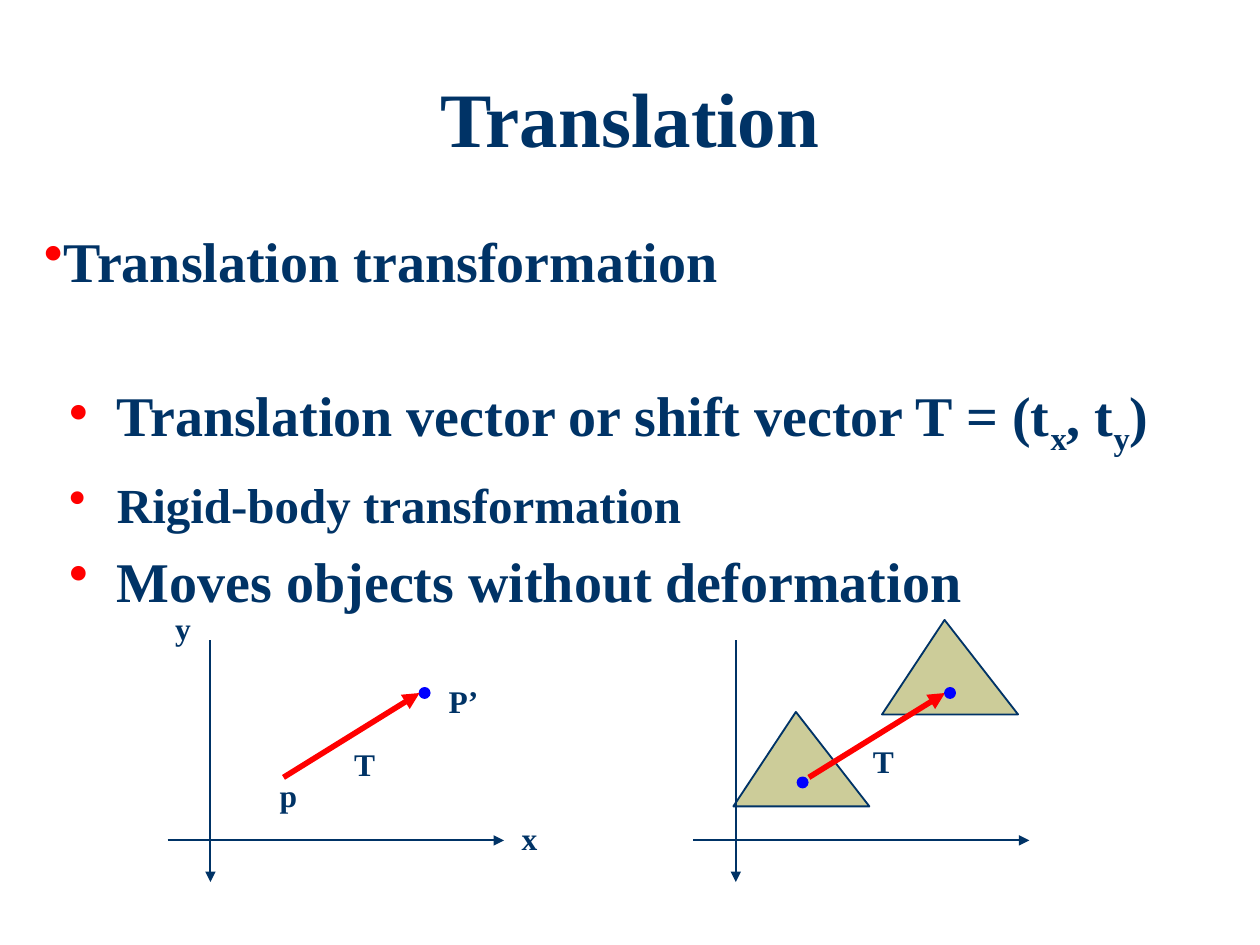
from lxml.etree import SubElement
from pptx import Presentation
from pptx.dml.color import RGBColor
from pptx.enum.shapes import MSO_CONNECTOR as Connector, MSO_SHAPE as Shape
from pptx.enum.text import MSO_ANCHOR as Anchor, PP_ALIGN as Align
from pptx.oxml.ns import qn
from pptx.util import Inches, Pt

NAVY, RED, BLUE, SAND = "003366", "FF0000", "0000FF", "CCCC99"
SUBSCRIPT = "-25000"

# Text, size, left margin, hanging indent, space before
BULLETS = [
    ([("Translation transformation", False)], 32, 0.15, 0.15, 0),
    ([("Translation vector or shift vector T = (t", False), ("x", True),
      (", t", False), ("y", True), (")", False)], 32, 0.58, 0.38, 49.6),
    ([("Rigid-body transformation", False)], 28, 0.58, 0.38, 10),
    ([("Moves objects without deformation", False)], 32, 0.58, 0.38, 7.2),
]


def color(value):
    return RGBColor.from_string(value)


def set_font(font, size):
    for name, value in {"name": "Times New Roman", "size": Pt(size), "bold": True}.items():
        setattr(font, name, value)
    font.color.rgb = color(NAVY)


def add_text_frame(slide, left, top, width, height, **settings):
    box = slide.shapes.add_textbox(Inches(left), Inches(top), Inches(width), Inches(height))
    frame = box.text_frame
    for name, value in {"word_wrap": True, **settings}.items():
        setattr(frame, name, value)
    return frame


def add_title(slide, left, top, width, height):
    frame = add_text_frame(slide, left, top, width, height, vertical_anchor=Anchor.MIDDLE)
    paragraph = frame.paragraphs[0]
    paragraph.text = "Translation"
    paragraph.alignment = Align.CENTER
    set_font(paragraph.font, 44)


def set_bullet(paragraph, margin, hanging):
    properties = paragraph._p.get_or_add_pPr()
    properties.set("marL", str(Inches(margin)))
    properties.set("indent", str(-Inches(hanging)))
    bullet_color = SubElement(properties, qn("a:buClr"))
    SubElement(bullet_color, qn("a:srgbClr"), val=RED)
    SubElement(properties, qn("a:buChar"), char="•")


def add_bullets(slide, left, top, width, height):
    frame = add_text_frame(slide, left, top, width, height)
    for index, (runs, size, margin, hanging, space) in enumerate(BULLETS):
        paragraph = frame.add_paragraph() if index else frame.paragraphs[0]
        set_bullet(paragraph, margin, hanging)
        paragraph.space_before = Pt(space)
        set_font(paragraph.font, size)
        for text, is_subscript in runs:
            run = paragraph.add_run()
            run.text = text
            set_font(run.font, size)
            if is_subscript:
                run.font._element.set("baseline", SUBSCRIPT)


def add_label(slide, text, left, top, width=0.42, inset=(0.14, 0.08)):
    side, edge = (Inches(value) for value in inset)
    frame = add_text_frame(slide, left, top, width, 0.5, margin_left=side,
                           margin_right=side, margin_top=edge, margin_bottom=edge)
    frame.paragraphs[0].text = text
    set_font(frame.paragraphs[0].font, 18)


def add_arrow(slide, start, end, line_color=NAVY, width=1.06):
    points = [Inches(value) for value in (*start, *end)]
    arrow = slide.shapes.add_connector(Connector.STRAIGHT, *points)
    arrow.line.color.rgb = color(line_color)
    arrow.line.width = Pt(width)
    SubElement(arrow.line._get_or_add_ln(), qn("a:tailEnd"), type="triangle")
    SubElement(arrow._element.spPr, qn("a:effectLst"))


def add_filled_shape(slide, kind, left, top, width, height, fill, outline):
    shape = slide.shapes.add_shape(kind, Inches(left), Inches(top), Inches(width), Inches(height))
    shape.shadow.inherit = False
    shape.fill.solid()
    shape.fill.fore_color.rgb = color(fill)
    shape.line.color.rgb = color(outline)
    shape.line.width = Pt(1.06)
    return shape


def add_point(slide, left, top):
    add_filled_shape(slide, Shape.OVAL, left, top, 0.08, 0.08, BLUE, BLUE)


def add_triangle(slide, left, top):
    triangle = add_filled_shape(slide, Shape.ISOSCELES_TRIANGLE, left, top, 1.08, 0.75, SAND, NAVY)
    triangle.adjustments[0] = 0.46


def add_axes(slide, left, top):
    add_arrow(slide, (left + 0.08, top + 1.92), (left + 2.75, top + 1.92))
    add_arrow(slide, (left + 0.42, top + 0.33), (left + 0.42, top + 2.25))


def add_vector(slide, left, top):
    add_arrow(slide, (left + 1, top + 1.42), (left + 2.08, top + 0.75), RED, 3.2)


def add_point_diagram(slide, left, top):
    add_axes(slide, left, top)
    add_point(slide, left + 2.08, top + 0.71)
    add_vector(slide, left, top)
    for text, x, y, width in [("x", 2.75, 1.67, 0.42), ("y", 0, 0, 0.42), ("p", 0.83, 1.33, 0.42),
                              ("P’", 2.17, 0.58, 0.75), ("T", 1.42, 1.08, 0.42)]:
        add_label(slide, text, left + x, top + y, width)


def add_triangle_diagram(slide, left, top):
    for x, y in [(1.58, 0.17), (0.4, 0.9)]:
        add_triangle(slide, left + x, top + y)
    add_axes(slide, left, top)
    add_vector(slide, left, top)
    for x, y in [(0.91, 1.42), (2.08, 0.71)]:
        add_point(slide, left + x, top + y)
    add_label(slide, "T", left + 1.41, top + 1.08, inset=(0.1, 0.06))


def main():
    presentation = Presentation()
    presentation.slide_width, presentation.slide_height = Inches(10), Inches(7.5)
    slide = presentation.slides.add_slide(presentation.slide_layouts[6])
    # Heading and bullet list
    add_title(slide, 0.5, 0.3, 9, 1.25)
    add_bullets(slide, 0.25, 1.75, 9.25, 4.95)
    # Moving a point, then a whole triangle
    add_point_diagram(slide, 1.25, 4.75)
    add_triangle_diagram(slide, 5.42, 4.75)
    presentation.save("out.pptx")


if __name__ == "__main__":
    main()
